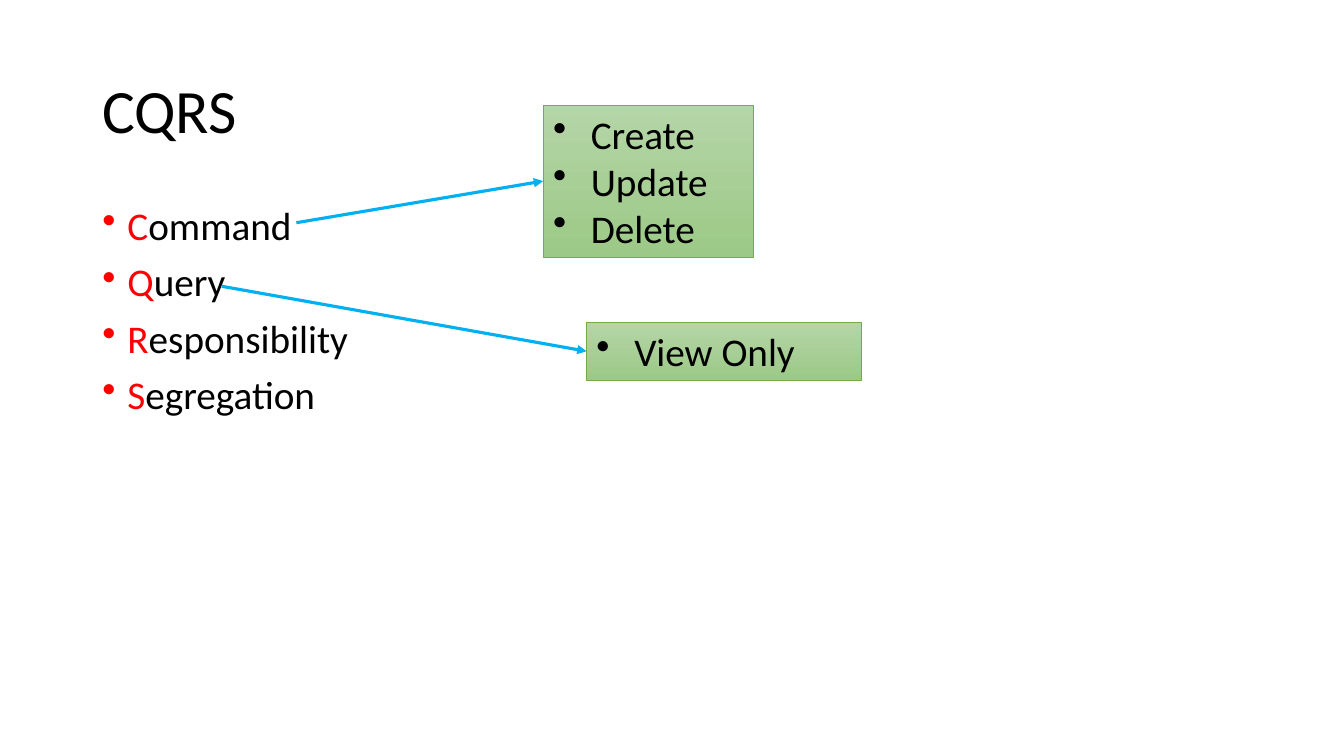
import pptx
import pptx.dml.color
import pptx.enum.shapes
import pptx.enum.text
import pptx.util
from lxml import etree
from pptx.oxml.ns import qn

Pt = pptx.util.Pt
COLORS = {"text": "000000", "initial": "FF0000", "arrow": "00B0F0",
          "border": "70AD47", "top": "B5D5A7", "bottom": "9CC987"}


def rgb(name):
    return pptx.dml.color.RGBColor.from_string(COLORS[name])


def add_text(p, text, font="Calibri", size=28, color="text"):
    r = p.add_run()
    r.text = text
    r.font.name = font
    r.font.size = Pt(size)
    r.font.color.rgb = rgb(color)


class Deck:
    """Holds the presentation style and the current slide."""

    def __init__(self):
        self.prs = pptx.Presentation()
        self.prs.slide_width = Pt(960)
        self.prs.slide_height = Pt(540)
        self.s = self.prs.slides.add_slide(self.prs.slide_layouts[6])

    def textbox(self, x, y, w, h):
        tf = self.s.shapes.add_textbox(Pt(x), Pt(y), Pt(w), Pt(h)).text_frame
        tf.word_wrap = True
        return tf

    def paragraph(self, tf, index, indent=0):
        p = tf.add_paragraph() if index else tf.paragraphs[0]
        p.alignment = pptx.enum.text.PP_ALIGN.LEFT
        if indent:
            pPr = p._p.get_or_add_pPr()
            pPr.set("marL", str(Pt(indent)))
            pPr.set("indent", str(-Pt(indent)))
            etree.SubElement(pPr, qn("a:buChar"), char="•")
        return p

    def title(self, text):
        tf = self.textbox(66, 28.8, 828, 104.4)
        tf.vertical_anchor = pptx.enum.text.MSO_ANCHOR.MIDDLE
        p = self.paragraph(tf, 0)
        p.line_spacing = 0.9
        add_text(p, text, size=44)

    def acronym(self, words):
        tf = self.textbox(66, 144, 828, 342.7)
        for i, word in enumerate(words):
            p = self.paragraph(tf, i, indent=18)
            p.line_spacing = 0.9
            if i:
                p.space_before = Pt(10)
            add_text(p, word[0], color="initial")
            add_text(p, word[1:])

    def box(self, x, y, w, h, items):
        rect = pptx.enum.shapes.MSO_SHAPE.RECTANGLE
        sp = self.s.shapes.add_shape(rect, Pt(x), Pt(y), Pt(w), Pt(h))
        sp.shadow.inherit = False
        sp.fill.gradient()
        sp.fill.gradient_angle = 270
        for stop, name in zip(sp.fill.gradient_stops, ("top", "bottom")):
            stop.color.rgb = rgb(name)
        sp.line.color.rgb = rgb("border")
        sp.line.width = Pt(0.5)
        tf = sp.text_frame
        tf.word_wrap = True
        tf.vertical_anchor = pptx.enum.text.MSO_ANCHOR.TOP
        tf.auto_size = pptx.enum.text.MSO_AUTO_SIZE.SHAPE_TO_FIT_TEXT
        for i, item in enumerate(items):
            add_text(self.paragraph(tf, i, indent=27), item)
        return sp

    def arrow(self, x, y, target):
        cxn = self.s.shapes.add_connector(
            pptx.enum.shapes.MSO_CONNECTOR.STRAIGHT, Pt(x), Pt(y),
            target.left, target.top + target.height // 2)
        cxn.line.color.rgb = rgb("arrow")
        cxn.line.width = Pt(2.25)
        etree.SubElement(cxn.line._get_or_add_ln(), qn("a:tailEnd"), type="triangle")
        etree.SubElement(cxn._element.spPr, qn("a:effectLst"))


def main():
    deck = Deck()
    deck.title("CQRS")
    deck.acronym(["Command", "Query", "Responsibility", "Segregation"])
    writes = deck.box(388, 75, 150, 108.7, ["Create", "Update", "Delete"])
    reads = deck.box(419, 230.4, 196.6, 41, ["View Only"])
    deck.arrow(211.7, 159.1, writes)
    deck.arrow(158.4, 204.5, reads)
    deck.prs.save("out.pptx")


if __name__ == "__main__":
    main()
